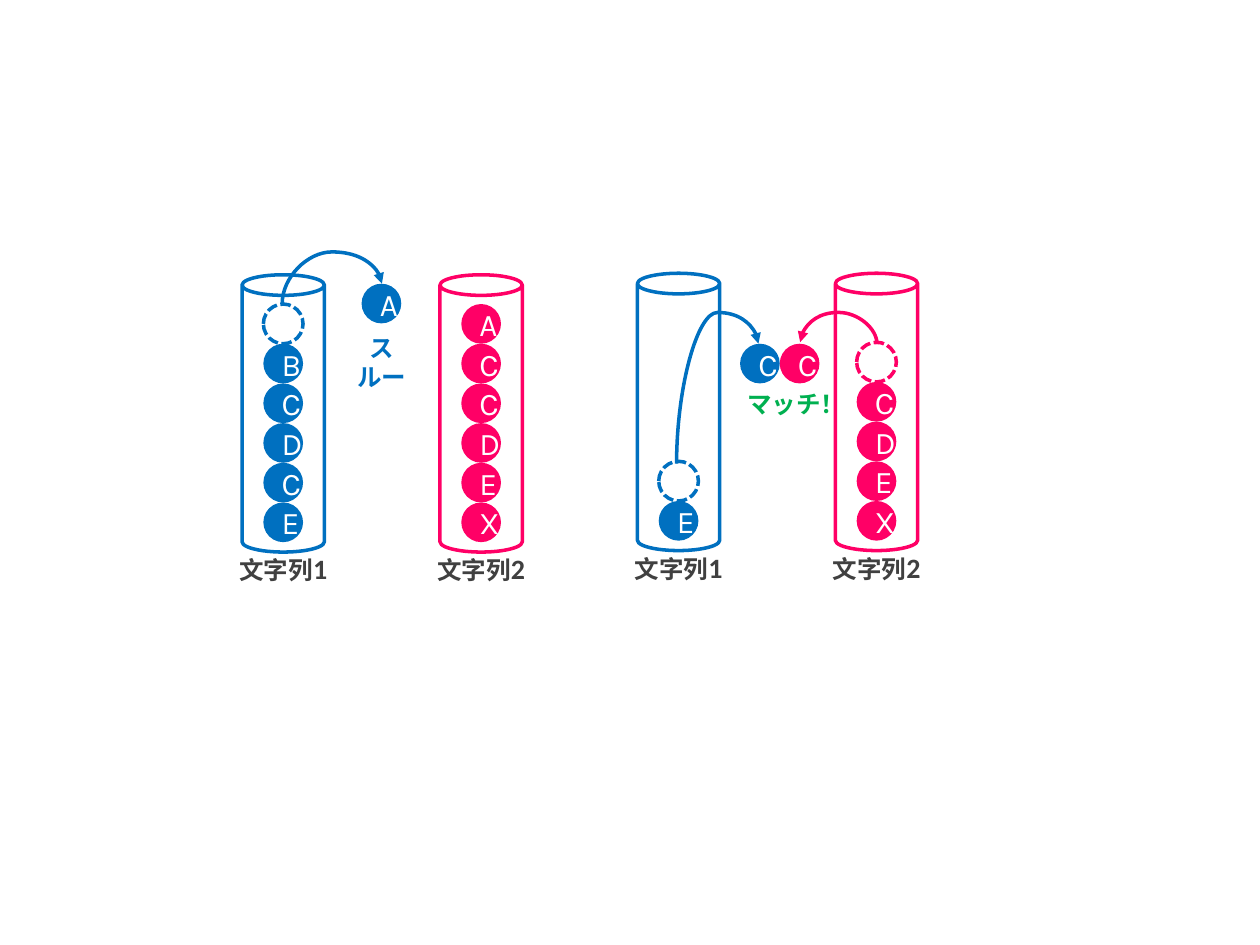
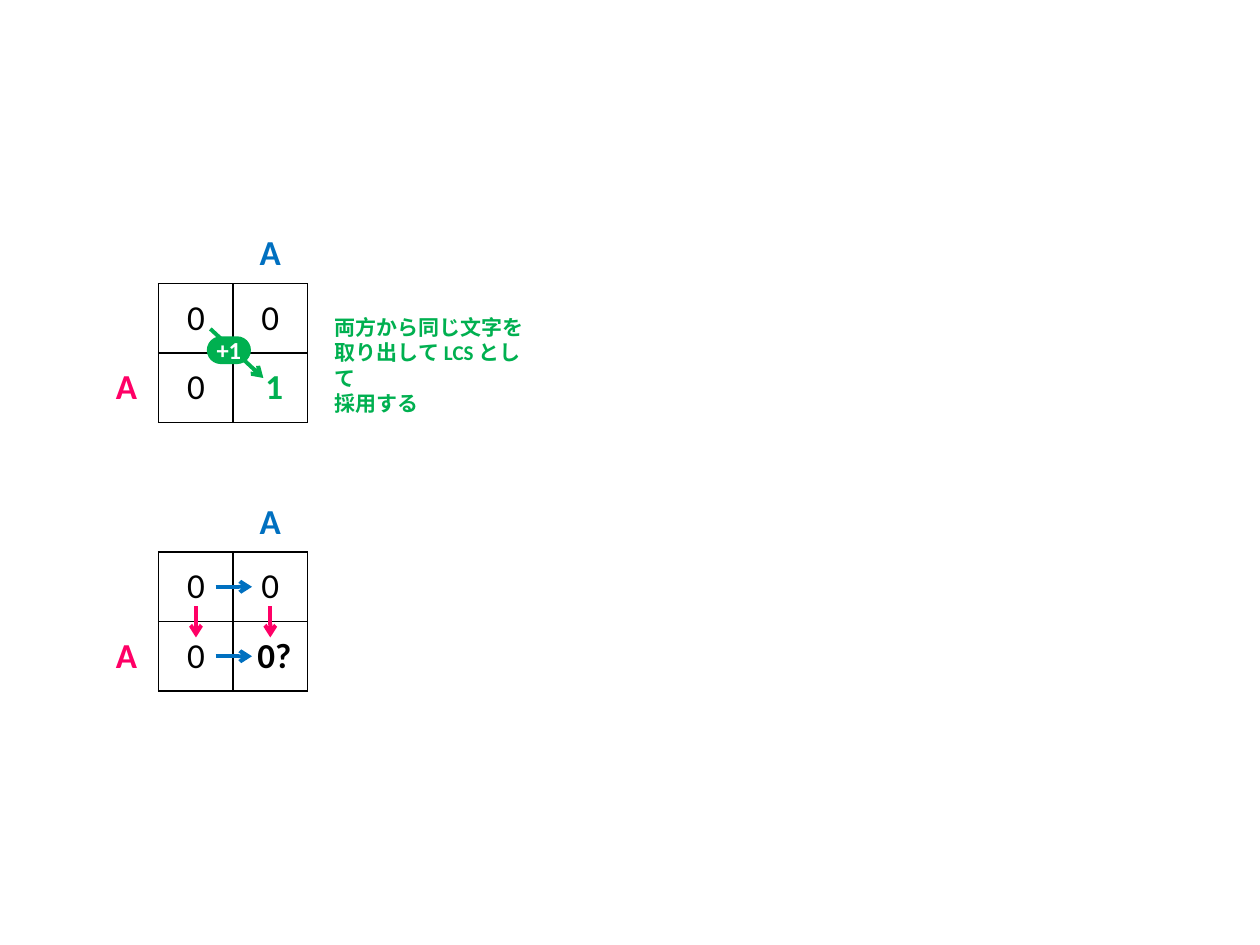
import pptx
import pptx.dml.color
import pptx.enum.dml
import pptx.enum.shapes
import pptx.enum.text
import pptx.oxml
import pptx.oxml.ns
import pptx.util

Cm = pptx.util.Cm
Pt = pptx.util.Pt
Shapes = pptx.enum.shapes.MSO_SHAPE
Align = pptx.enum.text.PP_ALIGN
Middle = pptx.enum.text.MSO_ANCHOR.MIDDLE

COLORS = {"blue": "0070C0", "pink": "FF0066", "green": "00B050",
          "gray": "404040", "black": "000000", "white": "FFFFFF"}
BALL = 0.8
CAN_WIDTH, CAN_HEIGHT, CAN_STEP = 1.66, 5.59, 3.99
COLUMNS = [1.3, 1.5, 1.5]
ROWS = [1.2, 1.4, 1.4]
TABLE_LEFT = 1.9


def rgb(color):
    return pptx.dml.color.RGBColor.from_string(COLORS[color])


def write(paragraph, text, size=14, color="black", bold=True, font="Calibri",
          align=Align.CENTER):
    paragraph.alignment = align
    for index, line in enumerate(text.split("\n")):
        if index:
            paragraph.add_line_break()
        run = paragraph.add_run()
        run.text = line
        run.font.size = Pt(size)
        run.font.bold = bold
        run.font.name = font
        run.font.color.rgb = rgb(color)


def add_element(parent, tag, **attributes):
    child = pptx.oxml.parse_xml(f"<a:{tag} {pptx.oxml.ns.nsdecls('a')}/>")
    for name, value in attributes.items():
        child.set(name, str(value))
    parent.append(child)
    return child


def add_text_box(slide, left, top, width, height):
    frame = slide.shapes.add_textbox(Cm(left), Cm(top), Cm(width), Cm(height)).text_frame
    frame.word_wrap = True
    frame.auto_size = pptx.enum.text.MSO_AUTO_SIZE.SHAPE_TO_FIT_TEXT
    return frame


def add_shape(slide, kind, left, top, width, height, fill=None, line=None):
    shape = slide.shapes.add_shape(kind, Cm(left), Cm(top), Cm(width), Cm(height))
    shape.shadow.inherit = False
    if fill:
        shape.fill.solid()
        shape.fill.fore_color.rgb = rgb(fill)
    else:
        shape.fill.background()
    if line:
        shape.line.color.rgb = rgb(line)
        shape.line.width = Pt(2)
    else:
        shape.line.fill.background()
    return shape


def add_ball(slide, left, top, letter, color):
    ball = add_shape(slide, Shapes.OVAL, left, top, BALL, BALL, fill=color)
    ball.text_frame.vertical_anchor = Middle
    write(ball.text_frame.paragraphs[0], letter, size=18, color="white",
          bold=False, font="Karla")


def add_gap(slide, left, top, color):
    gap = add_shape(slide, Shapes.OVAL, left, top, BALL, BALL, line=color)
    gap.line.dash_style = pptx.enum.dml.MSO_LINE.SQUARE_DOT


def add_can(slide, left, top, letters, color, label):
    add_shape(slide, Shapes.CAN, left, top, CAN_WIDTH, CAN_HEIGHT, line=color)
    ball_left = left + (CAN_WIDTH - BALL) / 2
    for row, letter in enumerate(letters):
        ball_top = top + 0.59 + row * BALL
        if letter == "-":
            add_gap(slide, ball_left, ball_top, color)
        elif letter != " ":
            add_ball(slide, ball_left, ball_top, letter, color)
    label_width = 2.64
    frame = add_text_box(slide, left + (CAN_WIDTH - label_width) / 2, top + 5.46,
                         label_width, 0.94)
    write(frame.paragraphs[0], "文字列", color="gray")
    write(frame.paragraphs[0], label, size=16, color="gray")


def add_can_pair(slide, left, top, first, second):
    add_can(slide, left, top, first, "blue", "1")
    add_can(slide, left + CAN_STEP, top, second, "pink", "2")


def add_arrow(slide, start, end, color, width=2.25, head="arrow", curved=False):
    kinds = pptx.enum.shapes.MSO_CONNECTOR
    connector = slide.shapes.add_connector(
        kinds.CURVE if curved else kinds.STRAIGHT,
        *(Cm(value) for value in (*start, *end)))
    connector.line.color.rgb = rgb(color)
    connector.line.width = Pt(width)
    properties = connector.element.spPr
    add_element(properties.find(pptx.oxml.ns.qn("a:ln")), "tailEnd", type=head)
    add_element(properties, "effectLst")
    return connector


def add_hop(slide, start, end, peak, color):
    rightward = end[0] > start[0]
    middle_x, middle_y = (start[0] + end[0]) / 2, (start[1] + end[1]) / 2
    half_width, half_height = (start[1] - end[1]) / 2, abs(end[0] - start[0]) / 2
    side = half_width if rightward else -half_width
    connector = add_arrow(slide, (middle_x + side, middle_y + half_height),
                          (middle_x - side, middle_y - half_height),
                          color, width=2, head="triangle", curved=True)
    properties = connector.element.spPr
    properties.find(pptx.oxml.ns.qn("a:xfrm")).set("rot", str((90 if rightward else 270) * 60000))
    geometry = properties.find(pptx.oxml.ns.qn("a:prstGeom"))
    for old in list(geometry):
        geometry.remove(old)
    bend = round((start[1] - peak) / (start[1] - end[1]) * 100000)
    add_element(add_element(geometry, "avLst"), "gd", name="adj1", fmla=f"val {bend}")


def set_borders(cell, row, column):
    properties = cell._tc.get_or_add_tcPr()
    inside = row > 0 and column > 0
    for position, side in enumerate("LRTB"):
        touches = (side == "B" and row == 0 and column > 0) or (
            side == "R" and column == 0 and row > 0)
        line = pptx.oxml.parse_xml(
            f'<a:ln{side} {pptx.oxml.ns.nsdecls("a")} w="12700"><a:solidFill>'
            f'<a:srgbClr val="{COLORS["black" if inside or touches else "white"]}"/>'
            f'</a:solidFill></a:ln{side}>')
        properties.insert(position, line)


def add_score_table(slide, top, result, result_color):
    table = slide.shapes.add_table(3, 3, Cm(TABLE_LEFT), Cm(top), Cm(sum(COLUMNS)),
                                   Cm(sum(ROWS))).table
    table.first_row = False
    table.horz_banding = False
    for column, width in zip(table.columns, COLUMNS):
        column.width = Cm(width)
    for row, height in zip(table.rows, ROWS):
        row.height = Cm(height)
    texts = {(0, 2): ("A", "blue", True), (2, 0): ("A", "pink", True),
             (1, 1): ("0", "black", False), (1, 2): ("0", "black", False),
             (2, 1): ("0", "black", False), (2, 2): (result, result_color, True)}
    for row in range(3):
        for column in range(3):
            cell = table.cell(row, column)
            cell.fill.background()
            cell.vertical_anchor = Middle
            set_borders(cell, row, column)
            if (row, column) in texts:
                text, color, bold = texts[row, column]
                write(cell.text_frame.paragraphs[0], text, size=20, color=color, bold=bold)


def add_step_arrows(slide, top):
    for index in (1, 2):
        x = TABLE_LEFT + sum(COLUMNS[:index]) + COLUMNS[index] / 2
        add_arrow(slide, (x, top + 2.29), (x, top + 2.92), "pink")
    for index in (1, 2):
        y = top + sum(ROWS[:index]) + ROWS[index] / 2
        add_arrow(slide, (4.35, y), (5.08, y), "blue")


def add_badge(slide, text):
    badge = add_shape(slide, Shapes.ROUNDED_RECTANGLE, 4.17, 6.78, 0.89, 0.56, fill="green")
    badge.adjustments[0] = 0.5
    frame = badge.text_frame
    frame.margin_left = frame.margin_right = frame.margin_top = frame.margin_bottom = 0
    frame.word_wrap = False
    frame.vertical_anchor = Middle
    write(frame.paragraphs[0], text, color="white")


def build_matching_slide(slide):
    add_can_pair(slide, 4.88, 5.54, "-BCDCE", "ACCDEX")
    add_ball(slide, 7.29, 5.72, "A", "blue")
    add_hop(slide, (5.69, 6.12), (7.7, 5.72), 5.08, "blue")
    write(add_text_box(slide, 6.71, 6.58, 1.98, 0.86).paragraphs[0], "スルー", color="blue")

    add_can_pair(slide, 12.85, 5.51, "    -E", " -CDEX")
    add_ball(slide, 14.92, 6.93, "C", "blue")
    add_ball(slide, 14.92 + BALL, 6.93, "C", "pink")
    add_hop(slide, (13.64, 9.35), (15.29, 6.93), 6.3, "blue")
    add_hop(slide, (17.68, 6.94), (16.13, 6.9), 6.3, "pink")
    write(add_text_box(slide, 14.6, 7.72, 2.41, 0.86).paragraphs[0], "マッチ！", color="green")


def build_score_slide(slide):
    add_score_table(slide, 4.52, " 1", "green")
    add_arrow(slide, (4.24, 6.63), (5.31, 7.62), "green")
    add_badge(slide, "+1")
    add_score_table(slide, 9.93, " 0?", "black")
    add_step_arrows(slide, 9.93)
    frame = add_text_box(slide, 6.5, 6.22, 4.6, 1.8)
    note = {"size": 12, "color": "green", "align": Align.LEFT}
    write(frame.paragraphs[0], "両方から同じ文字を", **note)
    write(frame.add_paragraph(), "取り出して LCS として\n採用する", **note)


def main():
    presentation = pptx.Presentation()
    presentation.slide_width = Cm(25.4)
    presentation.slide_height = Cm(19.05)
    blank = presentation.slide_layouts[6]
    for build in (build_matching_slide, build_score_slide):
        build(presentation.slides.add_slide(blank))
    presentation.save("out.pptx")


main()
